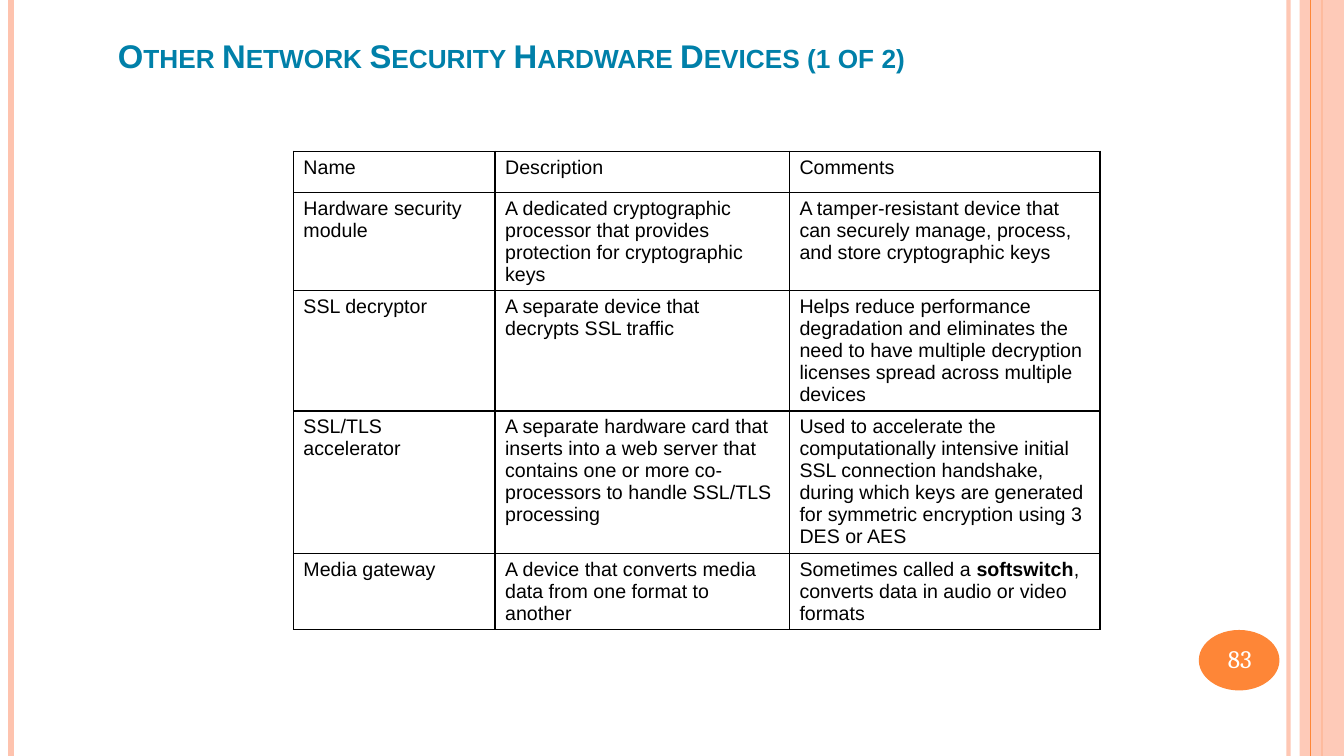
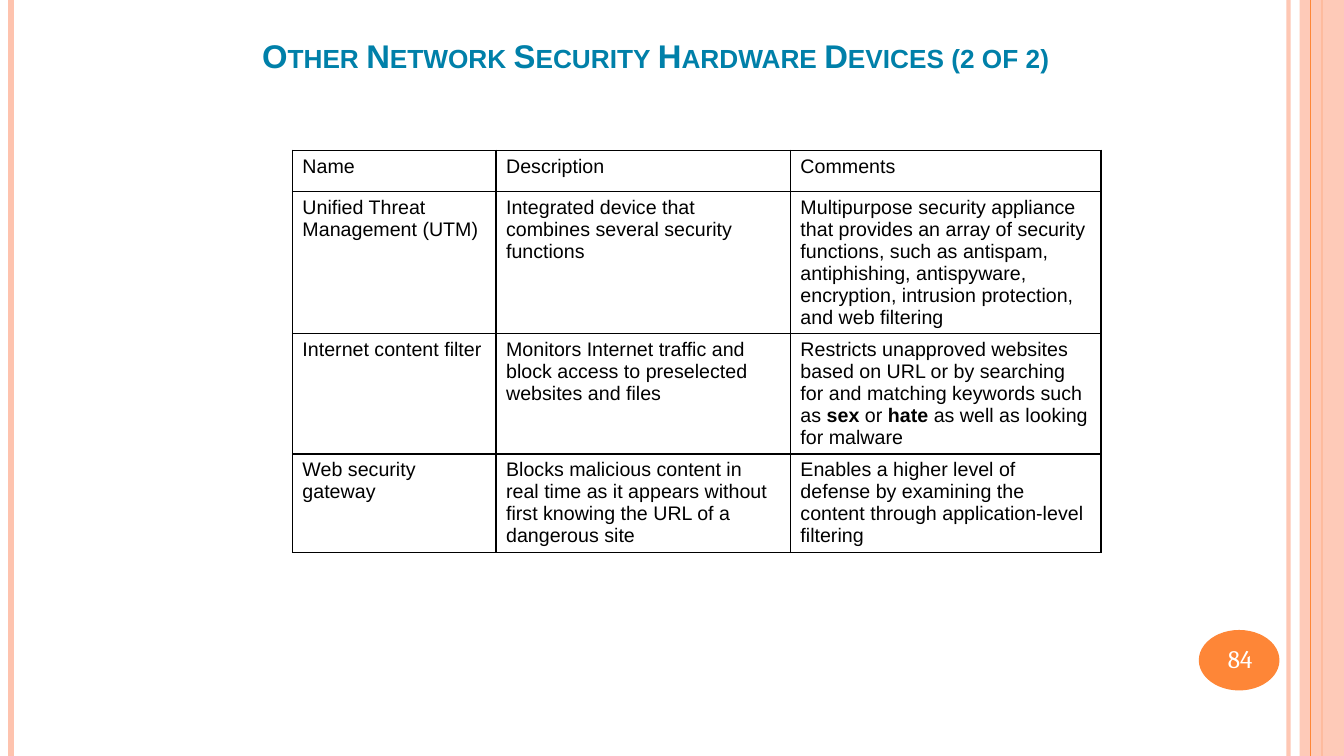
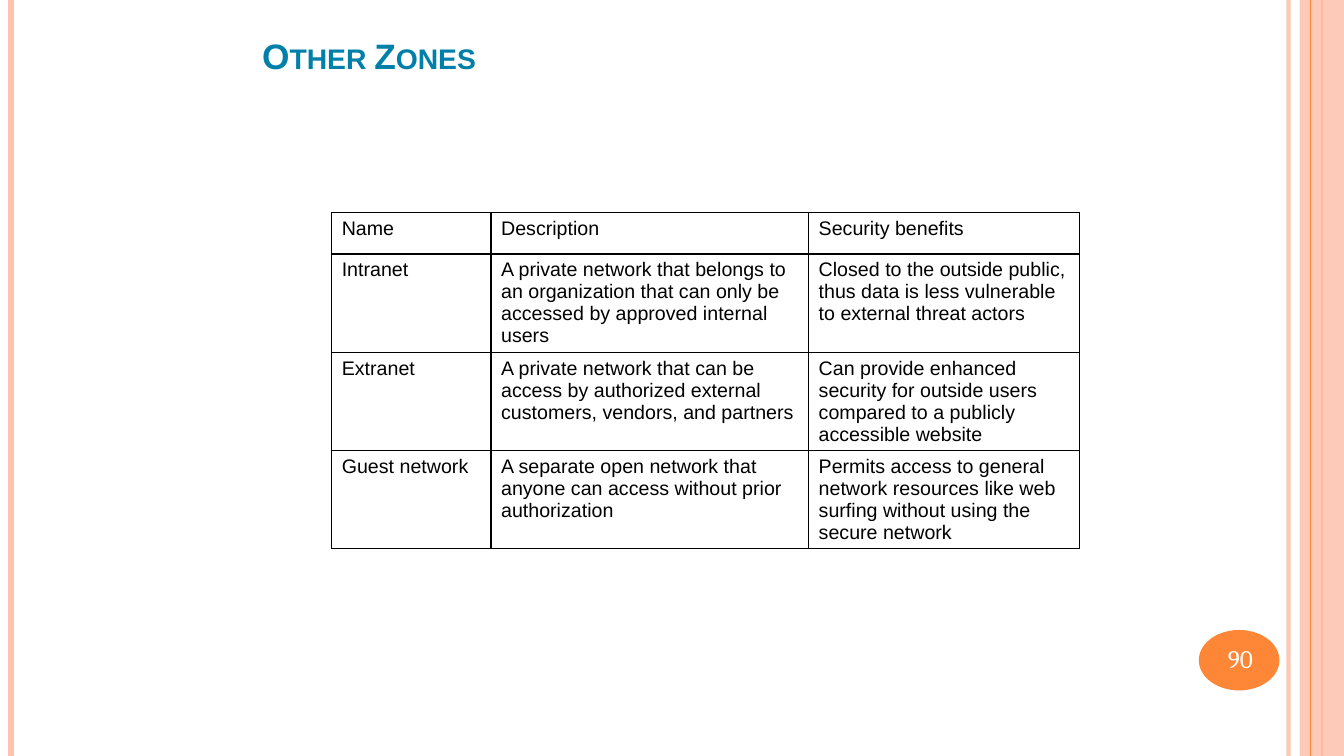
from lxml.etree import SubElement
from pptx import Presentation
from pptx.dml.color import RGBColor
from pptx.enum.shapes import MSO_CONNECTOR, MSO_SHAPE
from pptx.enum.text import MSO_ANCHOR, MSO_AUTO_SIZE, PP_ALIGN
from pptx.oxml.ns import qn
from pptx.util import Inches, Pt

WIDTH, HEIGHT = 13.33, 7.5
PEACH, ORANGE, TEAL = "FEC3AE", "FE8637", "0080A9"
BLACK, WHITE = "000000", "FFFFFF"
BODY_FONT, NUMBER_FONT = "Arial", "Cambria"
ROW_HEIGHT = 0.41

HARDWARE_ONE = [
    ["Name", "Description", "Comments"],
    ["Hardware security module",
     "A dedicated cryptographic processor that provides protection for cryptographic keys",
     "A tamper-resistant device that can securely manage, process, and store cryptographic keys"],
    ["SSL decryptor",
     "A separate device that decrypts SSL traffic",
     "Helps reduce performance degradation and eliminates the need to have multiple "
     "decryption licenses spread across multiple devices"],
    ["SSL/TLS accelerator",
     "A separate hardware card that inserts into a web server that contains one or more "
     "co-processors to handle SSL/TLS processing",
     "Used to accelerate the computationally intensive initial SSL connection handshake, "
     "during which keys are generated for symmetric encryption using 3 DES or AES"],
    ["Media gateway",
     "A device that converts media data from one format to another",
     "Sometimes called a **softswitch**, converts data in audio or video formats"],
]

HARDWARE_TWO = [
    ["Name", "Description", "Comments"],
    ["Unified Threat Management (UTM)",
     "Integrated device that combines several security functions",
     "Multipurpose security appliance that provides an array of security functions, such as "
     "antispam, antiphishing, antispyware, encryption, intrusion protection, and web filtering"],
    ["Internet content filter",
     "Monitors Internet traffic and block access to preselected websites and files",
     "Restricts unapproved websites based on URL or by searching for and matching keywords "
     "such as **sex **or** hate **as well as looking for malware"],
    ["Web security gateway",
     "Blocks malicious content in real time as it appears without first knowing the URL of "
     "a dangerous site",
     "Enables a higher level of defense by examining the content through application-level "
     "filtering"],
]

ZONES = [
    ["Name", "Description", "Security benefits"],
    ["Intranet",
     "A private network that belongs to an organization that can only be accessed by "
     "approved internal users",
     "Closed to the outside public, thus data is less vulnerable to external threat actors"],
    ["Extranet",
     "A private network that can be access by authorized external customers, vendors, and partners",
     "Can provide enhanced security for outside users compared to a publicly accessible website"],
    ["Guest network",
     "A separate open network that anyone can access without prior authorization",
     "Permits access to general network resources like web surfing without using the "
     "secure network"],
]


def color(hex_string):
    return RGBColor.from_string(hex_string)


def set_alpha(element, percent):
    for tint in element.iter(qn("a:srgbClr")):
        SubElement(tint, qn("a:alpha"), val=str(percent * 1000))


def add_span(para, text, size, font, ink, bold=False):
    span = para.add_run()
    span.text = text
    span.font.size = Pt(size)
    span.font.name = font
    span.font.bold = bold
    span.font.color.rgb = color(ink)
    return span


def add_stripe(page, x, ink, weight, alpha=100):
    stripe = page.shapes.add_connector(
        MSO_CONNECTOR.STRAIGHT, Inches(x), 0, Inches(x), Inches(HEIGHT))
    stripe.line.color.rgb = color(ink)
    stripe.line.width = Pt(weight)
    properties = stripe.element.spPr
    if alpha < 100:
        set_alpha(properties, alpha)
    SubElement(properties, qn("a:effectLst"))
    return stripe


def add_filled_shape(page, kind, left, top, width, height, fill, alpha=100):
    shape = page.shapes.add_shape(
        kind, Inches(left), Inches(top), Inches(width), Inches(height))
    shape.shadow.inherit = False
    shape.fill.solid()
    shape.fill.fore_color.rgb = color(fill)
    shape.line.fill.background()
    if alpha < 100:
        set_alpha(shape.element.spPr, alpha)
    return shape


def decorate_layout(layout, page):
    for holder in list(layout.placeholders)[1:]:
        layout.shapes.element.remove(holder.element)
    decorations = [
        add_stripe(page, 12.78, PEACH, 3, 93),
        add_stripe(page, 0.11, PEACH, 4.5),
        add_stripe(page, 13.11, ORANGE, 1.5),
        add_filled_shape(page, MSO_SHAPE.RECTANGLE, 12.89, 0, 0.44, HEIGHT, PEACH, 87),
        add_stripe(page, 13, ORANGE, 0.75),
        add_filled_shape(page, MSO_SHAPE.OVAL, 11.89, 6.25, 0.8, 0.6, ORANGE),
    ]
    for decoration in decorations:
        layout.shapes.element.append(decoration.element)


def set_title(page, text, left, top, height, size):
    title = page.shapes.title
    title.left, title.top = Inches(left), Inches(top)
    title.width, title.height = Inches(8.78), Inches(height)
    frame = title.text_frame
    frame.word_wrap = True
    frame.auto_size = MSO_AUTO_SIZE.NONE
    frame.vertical_anchor = MSO_ANCHOR.BOTTOM
    para = frame.paragraphs[0]
    para.alignment = PP_ALIGN.LEFT
    span = add_span(para, text, size, BODY_FONT, TEAL, True)
    span.font.element.set("cap", "small") if hasattr(span.font, "element") else \
        para.runs[0]._r.get_or_add_rPr().set("cap", "small")


def add_borders(cell):
    properties = cell._tc.get_or_add_tcPr()
    for side in ("lnL", "lnR", "lnT", "lnB"):
        border = SubElement(properties, qn(f"a:{side}"), w=str(Pt(1)))
        paint = SubElement(border, qn("a:solidFill"))
        SubElement(paint, qn("a:srgbClr"), val=BLACK)


def fill_cell(cell, text):
    add_borders(cell)
    cell.fill.solid()
    cell.fill.fore_color.rgb = color(WHITE)
    cell.margin_right = Inches(0.12)
    para = cell.text_frame.paragraphs[0]
    for index, part in enumerate(text.split("**")):
        add_span(para, part, 14, BODY_FONT, BLACK, index % 2 == 1)


def add_grid(page, rows, left, top, widths):
    table = page.shapes.add_table(
        len(rows), len(widths), Inches(left), Inches(top),
        Inches(sum(widths)), Inches(ROW_HEIGHT * len(rows))).table
    table.first_row = False
    table.horz_banding = False
    for column, width in zip(table.columns, widths):
        column.width = Inches(width)
    for row, texts in zip(table.rows, rows):
        row.height = Inches(ROW_HEIGHT)
        for cell, text in zip(row.cells, texts):
            fill_cell(cell, text)


def add_page_number(page, number):
    box = page.shapes.add_textbox(Inches(12.08), Inches(6.33), Inches(0.48), Inches(0.4))
    frame = box.text_frame
    frame.word_wrap = False
    frame.auto_size = MSO_AUTO_SIZE.SHAPE_TO_FIT_TEXT
    add_span(frame.paragraphs[0], str(number), 18, NUMBER_FONT, WHITE)


def main():
    deck = Presentation()
    deck.slide_width, deck.slide_height = Inches(WIDTH), Inches(HEIGHT)
    layout = deck.slide_layouts.get_by_name("Title Only")
    pages = [deck.slides.add_slide(layout) for _ in range(3)]
    decorate_layout(layout, pages[0])

    hardware, hardware_more, zones = pages
    set_title(hardware, "Other Network Security Hardware Devices (1 of 2)", 1.07, 0.42, 0.37, 23.4)
    add_grid(hardware, HARDWARE_ONE, 2.91, 1.5, [2, 2.92, 3.08])
    set_title(hardware_more, "Other Network Security Hardware Devices (2 of 2)",
              2.5, 0.42, 0.37, 23.4)
    add_grid(hardware_more, HARDWARE_TWO, 2.9, 1.49, [2.02, 2.92, 3.08])
    set_title(zones, "Other Zones", 2.5, 0.41, 0.4, 25.2)
    add_grid(zones, ZONES, 3.29, 2.11, [1.58, 3.15, 2.69])
    for page, number in zip(pages, (83, 84, 90)):
        add_page_number(page, number)
    deck.save("out.pptx")


if __name__ == "__main__":
    main()
